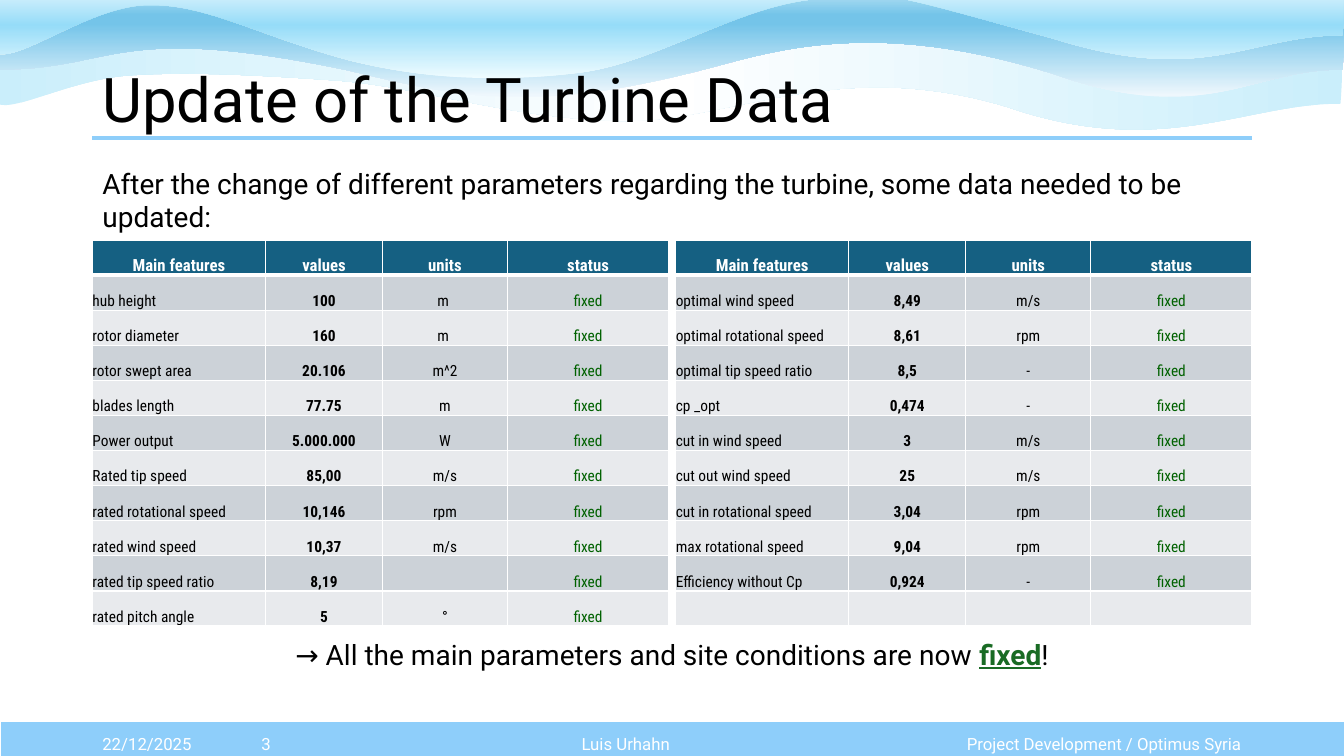
import pptx
import pptx.util
import pptx.dml.color
import pptx.enum.shapes
import pptx.enum.text
import pptx.oxml
import pptx.oxml.ns
from dataclasses import dataclass
from lxml import etree

Cm, Pt = pptx.util.Cm, pptx.util.Pt
ALIGN = pptx.enum.text.PP_ALIGN
ANCHOR = pptx.enum.text.MSO_ANCHOR
qn = pptx.oxml.ns.qn


@dataclass(frozen=True)
class Theme:
    font: str = "Roboto"
    table_font: str = "Roboto Condensed"
    black: str = "000000"
    white: str = "FFFFFF"
    sky: str = "8ECEFA"
    header: str = "156082"
    bands: tuple = ("CCD2D8", "E8EAED")
    status: str = "006100"
    accent: str = "196B24"
    title_size: int = 44
    body_size: int = 20
    header_size: int = 12
    cell_size: int = 11
    footer_size: int = 12


T = Theme()

TITLE = "Update of the Turbine Data"
INTRO = "After the change of different parameters regarding the turbine, some data needed to be updated:"
CLOSING = [
    ("→ All the main parameters and site conditions are now ", {}),
    ("fixed", {"color": T.accent, "bold": True, "underline": True}),
    ("!", {}),
]
FOOTERS = [
    ("22/12/2025", 2.33, 3.1, ALIGN.LEFT),
    ("3", 5.41, 2.59, ALIGN.CENTER),
    ("Luis Urhahn", 8, 15.54, ALIGN.CENTER),
    ("Project Development / Optimus Syria", 23.54, 8, ALIGN.RIGHT),
]
HEADER = ("Main features", "values", "units", "status")
COLUMNS = (4.36, 2.95, 3.15, 4.06)
TABLES = [
    (2.33, [
        ("hub height", "100", "m ", "fixed"),
        ("rotor diameter", "160", "m ", "fixed"),
        ("rotor swept area", "20.106", "m^2", "fixed"),
        ("blades length", "77.75", "m", "fixed"),
        ("Power output", "5.000.000", "W", "fixed"),
        ("Rated tip speed", "85,00", "m/s", "fixed"),
        ("rated rotational speed", "10,146", "rpm", "fixed"),
        ("rated wind speed", "10,37", "m/s", "fixed"),
        ("rated tip speed ratio", "8,19", "", "fixed"),
        ("rated pitch angle", "5", "°", "fixed"),
    ]),
    (17.03, [
        ("optimal wind speed", "8,49", "m/s", "fixed"),
        ("optimal rotational speed", "8,61", "rpm", "fixed"),
        ("optimal tip speed ratio", "8,5", "-", "fixed"),
        ("cp _opt", "0,474", "-", "fixed"),
        ("cut in wind speed", "3", "m/s", "fixed"),
        ("cut out wind speed", "25", "m/s", "fixed"),
        ("cut in rotational speed", "3,04", "rpm", "fixed"),
        ("max rotational speed", "9,04", "rpm", "fixed"),
        ("Efficiency without Cp", "0,924", "-", "fixed"),
        ("", "", "", ""),
    ]),
]

WAVE_UNIT = Cm(2.54) / 100
WAVES = [
    {"box": (-4, 30, 1336, 98), "angle": 0,
     "stops": [(0, "CAEEFB"), (50, "FFFFFF"), (100, "CAEEFB")],
     "start": (1330, 103),
     "curves": [(1237, 102, 1152, 159, 999, 106), (827, 54, 721, 124, 610, 120),
                (499, 116, 421, 87, 335, 80), (249, 74, 183, 71, 127, 75),
                (71, 79, 14, 111, -2, 103), (-2, 80, -4, 53, -4, 30)],
     "edge": [(313, 31), (652, 34), (941, 32), (1332, 34)],
     "end": (1332, 55, 1332, 80, 1330, 103)},
    {"box": (0, -2, 1333, 98), "angle": 90,
     "stops": [(0, "F0F8FD"), (74, "74C4E9"), (83, "74C4E9"), (100, "A2D8F0")],
     "start": (1332, 69),
     "curves": [(1239, 69, 1196, 127, 1044, 73), (871, 19, 773, 49, 706, 67),
                (528, 114, 459, 97, 346, 70), (113, 21, 115, 69, 0, 69),
                (0, 46, 1, 23, 1, -1)],
     "edge": [(313, 0), (654, -2), (946, -1), (1333, 3)],
     "end": (1333, 25, 1334, 46, 1332, 69)},
    {"box": (-3, -28, 1336, 106), "angle": 90,
     "stops": [(0, "EFFCFF"), (50, "96DCF8"), (100, "FFFFFF")],
     "start": (1332, 35),
     "curves": [(1239, 35, 1196, 86, 1044, 38), (872, -9, 891, -7, 813, -1),
                (735, 4, 653, 62, 576, 72), (498, 82, 424, 79, 347, 60),
                (258, 36, 207, 5, 150, 5), (92, 4, 22, 61, -3, 53),
                (-2, 32, 1, -6, 1, -27)],
     "edge": [(313, -26), (654, -28), (946, -27), (1333, -24)],
     "end": (1333, -4, 1334, 14, 1332, 35)},
]


def rgb(value):
    return pptx.dml.color.RGBColor.from_string(value)


def add_run(p, text, size, color=T.black, font=T.font, bold=False, underline=False):
    r = p.add_run()
    r.text = text
    r.font.name, r.font.size = font, Pt(size)
    r.font.bold, r.font.underline = bold, underline
    r.font.color.rgb = rgb(color)


def add_text(s, box, runs, size, align=ALIGN.LEFT, anchor=ANCHOR.TOP, color=T.black):
    tf = s.shapes.add_textbox(*map(Cm, box)).text_frame
    tf.word_wrap, tf.vertical_anchor = True, anchor
    p = tf.paragraphs[0]
    p.alignment = align
    for text, style in runs:
        add_run(p, text, size, **{"color": color, **style})


def add_wave(s, wave):
    left, top, width, height = wave["box"]
    builder = s.shapes.build_freeform(*wave["start"], scale=WAVE_UNIT)
    builder.add_line_segments(wave["edge"], close=True)
    sp = builder.convert_to_shape()
    sp.left, sp.top, sp.width, sp.height = (round(v * WAVE_UNIT) for v in wave["box"])

    outline = sp.element.spPr.find(".//" + qn("a:path"))
    outline.set("w", str(width))
    outline.set("h", str(height))
    for step in list(outline):
        outline.remove(step)
    steps = [("moveTo", wave["start"])]
    steps += [("cubicBezTo", curve) for curve in wave["curves"]]
    steps += [("lnTo", point) for point in wave["edge"]]
    steps += [("cubicBezTo", wave["end"]), ("close", ())]
    for name, values in steps:
        step = etree.SubElement(outline, qn("a:" + name))
        for x, y in zip(values[::2], values[1::2]):
            etree.SubElement(step, qn("a:pt"), x=str(x - left), y=str(y - top))

    sp.shadow.inherit = False
    sp.line.fill.background()
    sp.fill.gradient()
    sp.fill.gradient_angle = wave["angle"]
    stops = sp.element.spPr.find(".//" + qn("a:gsLst"))
    for stop in list(stops):
        stops.remove(stop)
    for position, color in wave["stops"]:
        stop = etree.SubElement(stops, qn("a:gs"), pos=str(position * 1000))
        etree.SubElement(stop, qn("a:srgbClr"), val=color)
    return sp


def add_borders(cell, top, bottom):
    tcPr = cell._tc.get_or_add_tcPr()
    for side, width in (("L", 1), ("R", 1), ("T", top), ("B", bottom)):
        ln = etree.SubElement(tcPr, qn("a:ln" + side), w=str(Pt(width)))
        fill = etree.SubElement(ln, qn("a:solidFill"))
        etree.SubElement(fill, qn("a:srgbClr"), val=T.white)


def add_feature_table(s, left, body):
    rows = [HEADER] + body
    frame = s.shapes.add_table(len(rows), len(HEADER), Cm(left), Cm(6.05), Cm(sum(COLUMNS)), Cm(9.73))
    table = frame.table
    table.horz_banding = False
    for column, width in zip(table.columns, COLUMNS):
        column.width = Cm(width)
    for i, row in enumerate(rows):
        for j, text in enumerate(row):
            cell = table.cell(i, j)
            add_borders(cell, 3 if i == 1 else 1, 3 if i == 0 else 1)
            cell.fill.solid()
            cell.fill.fore_color.rgb = rgb(T.bands[(i - 1) % 2] if i else T.header)
            cell.margin_left = cell.margin_right = cell.margin_top = cell.margin_bottom = 0
            cell.vertical_anchor = ANCHOR.BOTTOM
            p = cell.text_frame.paragraphs[0]
            p.alignment = ALIGN.LEFT if i and j == 0 else ALIGN.CENTER
            if i == 0:
                add_run(p, text, T.header_size, T.white, T.table_font, True)
            elif text:
                add_run(p, text, T.cell_size, T.status if j == 3 else T.black, T.table_font, j == 1)


def add_backdrop(prs, s):
    bar = s.shapes.add_shape(pptx.enum.shapes.MSO_SHAPE.RECTANGLE, 0, Cm(18.16), Cm(33.9), Cm(1.02))
    bar.shadow.inherit = False
    bar.fill.solid()
    bar.fill.fore_color.rgb = rgb(T.sky)
    bar.line.color.rgb, bar.line.width = rgb(T.white), Pt(1.5)
    waves = [add_wave(s, wave) for wave in WAVES]
    rule = s.shapes.add_connector(pptx.enum.shapes.MSO_CONNECTOR.STRAIGHT, Cm(2.33), Cm(3.48), Cm(31.54), Cm(3.48))
    rule.line.color.rgb, rule.line.width = rgb(T.sky), Pt(3)
    etree.SubElement(rule.element.spPr, qn("a:effectLst"))
    for number, sp in enumerate([bar, *waves, rule], 100):
        sp.element[0][0].set("id", str(number))
        prs.slide_master.shapes.element.append(sp.element)


def main():
    prs = pptx.Presentation()
    prs.slide_width, prs.slide_height = Cm(33.87), Cm(19.05)
    s = prs.slides.add_slide(prs.slide_layouts[5])
    add_backdrop(prs, s)

    title = s.shapes.title
    title.left, title.top, title.width, title.height = map(Cm, (2.33, 1.02, 29.21, 2.54))
    tf = title.text_frame
    tf.auto_size = pptx.enum.text.MSO_AUTO_SIZE.NONE
    tf.vertical_anchor = ANCHOR.BOTTOM
    p = tf.paragraphs[0]
    p.alignment, p.line_spacing = ALIGN.LEFT, 0.9
    add_run(p, TITLE, T.title_size)

    for text, left, width, align in FOOTERS:
        add_text(s, (left, 18.24, width, 1.02), [(text, {})], T.footer_size, align, ANCHOR.MIDDLE, T.white)
    add_text(s, (2.33, 4.06, 29.21, 1.95), [(INTRO, {})], T.body_size)
    add_text(s, (2.33, 15.93, 29.21, 1.1), CLOSING, T.body_size, ALIGN.CENTER)
    for left, body in TABLES:
        add_feature_table(s, left, body)

    prs.save("out.pptx")


if __name__ == "__main__":
    main()
